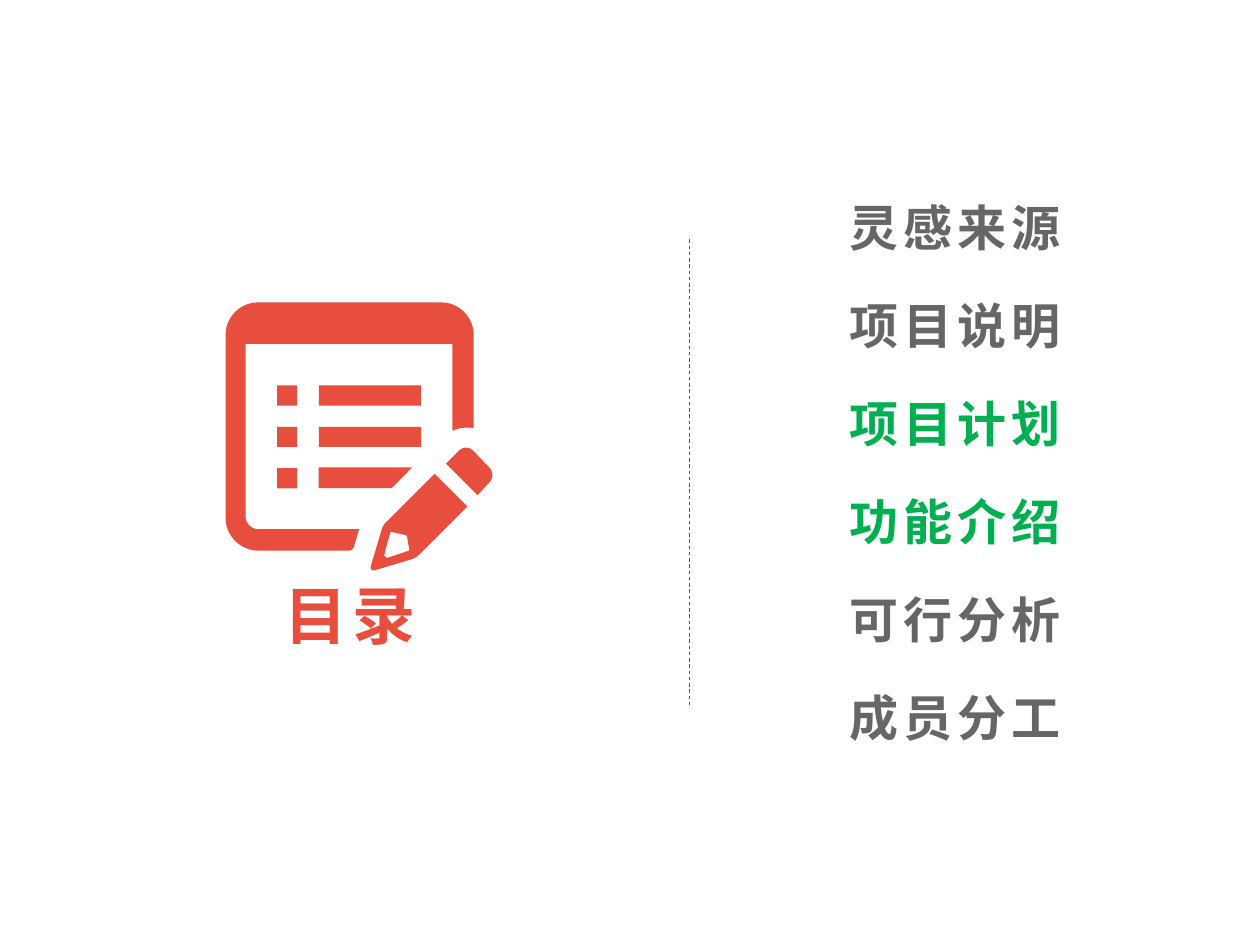
from dataclasses import dataclass
from typing import NamedTuple

from lxml import etree
from pptx import Presentation
from pptx.dml.color import RGBColor
from pptx.enum.dml import MSO_LINE
from pptx.enum.shapes import MSO_CONNECTOR, MSO_SHAPE
from pptx.enum.text import MSO_ANCHOR, MSO_AUTO_SIZE, PP_ALIGN
from pptx.oxml.ns import qn
from pptx.util import Inches, Pt

DASH = MSO_LINE.DASH
STRAIGHT = MSO_CONNECTOR.STRAIGHT
RECT = MSO_SHAPE.RECTANGLE
TOP = MSO_ANCHOR.TOP
GROW = MSO_AUTO_SIZE.SHAPE_TO_FIT_TEXT
LEFT, CENTER = PP_ALIGN.LEFT, PP_ALIGN.CENTER

COLS, ROWS = 100, 75
CELL = Inches(0.1)
ARC_STEPS = 12


@dataclass(frozen=True)
class Theme:
    font: str = "Noto Sans CJK SC"
    accent: str = "E74E3E"
    muted: str = "666666"
    active: str = "00B050"
    divider: str = "0174AB"
    title_pt: int = 36
    item_pt: int = 28
    spacing_pt: int = 3
    divider_pt: float = 0.5


class Box(NamedTuple):
    col: float
    row: float
    cols: float
    rows: float


class Corner(NamedTuple):
    col: float
    row: float
    radius: float = 0


class Item(NamedTuple):
    text: str
    color: str


THEME = Theme()
ITEMS = [
    Item("灵感来源", THEME.muted),
    Item("项目说明", THEME.muted),
    Item("项目计划", THEME.active),
    Item("功能介绍", THEME.active),
    Item("可行分析", THEME.muted),
    Item("成员分工", THEME.muted),
]
ITEM_BOX, ITEM_PITCH = Box(66.4, 15.2, 19.6, 5.7), 7.78
TITLE_BOX = Box(14, 45.3, 27.6, 7.1)
BULLET, BAR, LINE_PITCH = Box(22, 30.6, 1.6, 1.6), Box(25.3, 30.6, 8.1, 1.6), 3.28

FRAME = [[
    Corner(28.5, 42), Corner(28, 43.7, 0.3), Corner(17.9, 43.7, 2.6),
    Corner(17.9, 24, 2.6), Corner(37.6, 24, 2.6), Corner(37.6, 34),
    Corner(36.8, 33.8, 0.8), Corner(35.9, 34.2), Corner(35.9, 27.3),
    Corner(19.5, 27.3), Corner(19.5, 42, 1),
]]
PENCIL = [
    [Corner(34.5, 37.6), Corner(37.1, 40.2), Corner(33, 44.3, 0.4),
     Corner(29.3, 45.4, 0.5), Corner(30.4, 41.7, 0.3)],
    [Corner(31, 42.2), Corner(30.4, 44.4, 0.5), Corner(32.5, 43.7),
     Corner(32.3, 42.5, 0.1)],
]
ERASER = [[Corner(35.4, 36.8), Corner(37, 35.2, 0.8), Corner(39.4, 37.7, 0.8),
           Corner(37.9, 39.3)]]
CUT_BAR = [[Corner(25.3, 37.1), Corner(32.7, 37.1), Corner(31.1, 38.75, 0.2),
            Corner(25.3, 38.75)]]


def rgb(color: str) -> RGBColor:
    return RGBColor.from_string(color)


def emu(*cells: float) -> list[int]:
    return [round(c * CELL) for c in cells]


def paint(sp, color: str) -> None:
    sp.shadow.inherit = False
    sp.fill.solid()
    sp.fill.fore_color.rgb = rgb(color)
    sp.line.fill.background()


def toward(a: Corner, b: Corner) -> tuple[float, float]:
    dx, dy = b.col - a.col, b.row - a.row
    t = a.radius / (dx * dx + dy * dy) ** 0.5
    return a.col + dx * t, a.row + dy * t


def round_corner(before: Corner, c: Corner, after: Corner) -> list[list[int]]:
    if not c.radius:
        return [emu(c.col, c.row)]
    start, end, tip = toward(c, before), toward(c, after), (c.col, c.row)
    pull = 0.55
    points = []
    for i in range(ARC_STEPS + 1):
        t = i / ARC_STEPS
        u = 1 - t
        points.append(emu(*(
            a * (u**3 + 3 * u * u * t * (1 - pull))
            + b * (t**3 + 3 * u * t * t * (1 - pull))
            + k * 3 * u * t * pull
            for a, b, k in zip(start, end, tip))))
    return points


def add_outline(s, contours: list[list[Corner]]) -> None:
    fb = None
    for contour in contours:
        points = [p for i, c in enumerate(contour)
                  for p in round_corner(contour[i - 1], c, contour[(i + 1) % len(contour)])]
        if fb is None:
            fb = s.shapes.build_freeform(*points[0], scale=1.0)
        else:
            fb.move_to(*points[0])
        fb.add_line_segments(points[1:], close=True)
    paint(fb.convert_to_shape(), THEME.accent)


def add_bar(s, box: Box) -> None:
    paint(s.shapes.add_shape(RECT, *emu(*box)), THEME.accent)


def add_text(s, box: Box, text: str, size: int, color: str, align) -> None:
    tf = s.shapes.add_textbox(*emu(*box)).text_frame
    for name, value in {"word_wrap": True, "auto_size": GROW, "vertical_anchor": TOP}.items():
        setattr(tf, name, value)
    p = tf.paragraphs[0]
    p.alignment = align
    r = p.add_run()
    r.text = text
    for name, value in {"name": THEME.font, "size": Pt(size), "bold": True}.items():
        setattr(r.font, name, value)
    r.font.color.rgb = rgb(color)
    rpr = r._r.get_or_add_rPr()
    rpr.set("spc", str(THEME.spacing_pt * 100))
    etree.SubElement(rpr, qn("a:ea")).set("typeface", THEME.font)


def add_divider(s, col: float, top: float, bottom: float) -> None:
    line = s.shapes.add_connector(STRAIGHT, *emu(col, top, col, bottom))
    line.line.color.rgb = rgb(THEME.divider)
    for name, value in {"width": Pt(THEME.divider_pt), "dash_style": DASH}.items():
        setattr(line.line, name, value)
    etree.SubElement(line._element.spPr, qn("a:effectLst"))


def main() -> None:
    prs = Presentation()
    prs.slide_width, prs.slide_height = emu(COLS, ROWS)
    s = prs.slides.add_slide(prs.slide_layouts[6])
    add_divider(s, 54.7, 19, 56)
    for i, item in enumerate(ITEMS):
        box = ITEM_BOX._replace(row=ITEM_BOX.row + i * ITEM_PITCH)
        add_text(s, box, item.text, THEME.item_pt, item.color, LEFT)
    for outline in (FRAME, PENCIL, CUT_BAR, ERASER):
        add_outline(s, outline)
    for part, count in ((BAR, 2), (BULLET, 3)):
        for i in range(count):
            add_bar(s, part._replace(row=part.row + i * LINE_PITCH))
    add_text(s, TITLE_BOX, "目录", THEME.title_pt, THEME.accent, CENTER)
    prs.save("out.pptx")


if __name__ == "__main__":
    main()
